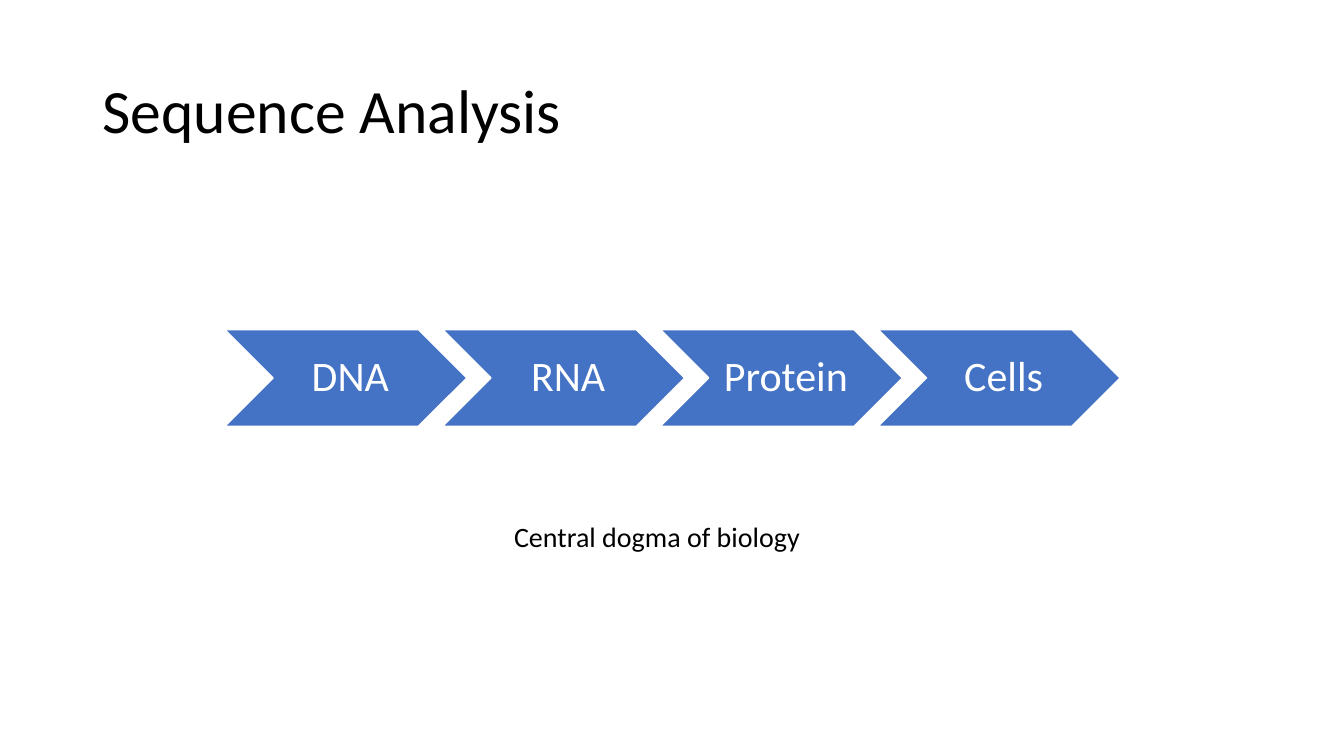
"""Build the Sequence Analysis slide with the central dogma as a chevron chain."""
from pptx import Presentation
from pptx import util as u
from pptx.dml.color import RGBColor
from pptx.enum import shapes, text

BLACK = RGBColor(0x00, 0x00, 0x00)
WHITE = RGBColor(0xFF, 0xFF, 0xFF)
BLUE = RGBColor(0x44, 0x72, 0xC4)


def write(frame, wording, size, color, anchor, **paragraph_format):
    frame.word_wrap = True
    frame.vertical_anchor = anchor
    paragraph = frame.paragraphs[0]
    for name, value in paragraph_format.items():
        setattr(paragraph, name, value)
    run = paragraph.add_run()
    run.text = wording
    for name, value in {"name": "Calibri", "size": u.Pt(size)}.items():
        setattr(run.font, name, value)
    run.font.color.rgb = color


deck = Presentation()
deck.slide_width, deck.slide_height = u.Inches(13.33), u.Inches(7.5)
slide = deck.slides.add_slide(deck.slide_layouts[6])

step_insets = {"margin_left": 0.13, "margin_top": 0.04,
               "margin_right": 0.04, "margin_bottom": 0.04}
for index, stage in enumerate(["DNA", "RNA", "Protein", "Cells"]):
    step = slide.shapes.add_shape(
        shapes.MSO_SHAPE.CHEVRON, u.Inches(2.23 + 2.16 * index),
        u.Inches(3.27), u.Inches(2.4), u.Inches(0.96))
    step.shadow.inherit = False
    step.fill.solid()
    step.fill.fore_color.rgb = BLUE
    step.line.color.rgb = WHITE
    step.line.width = u.Pt(1)
    for side, inset in step_insets.items():
        setattr(step.text_frame, side, u.Inches(inset))
    write(step.text_frame, stage, 30, WHITE, text.MSO_ANCHOR.MIDDLE,
          alignment=text.PP_ALIGN.CENTER, line_spacing=0.9)

title = slide.shapes.add_textbox(
    u.Inches(0.92), u.Inches(0.4), u.Inches(11.5), u.Inches(1.45))
write(title.text_frame, "Sequence Analysis", 44, BLACK,
      text.MSO_ANCHOR.MIDDLE, line_spacing=0.9)

caption = slide.shapes.add_textbox(
    u.Inches(5), u.Inches(5.1), u.Inches(3.33), u.Inches(0.44))
write(caption.text_frame, "Central dogma of biology", 20, BLACK,
      text.MSO_ANCHOR.TOP)
caption.text_frame.auto_size = text.MSO_AUTO_SIZE.SHAPE_TO_FIT_TEXT

deck.save("out.pptx")
